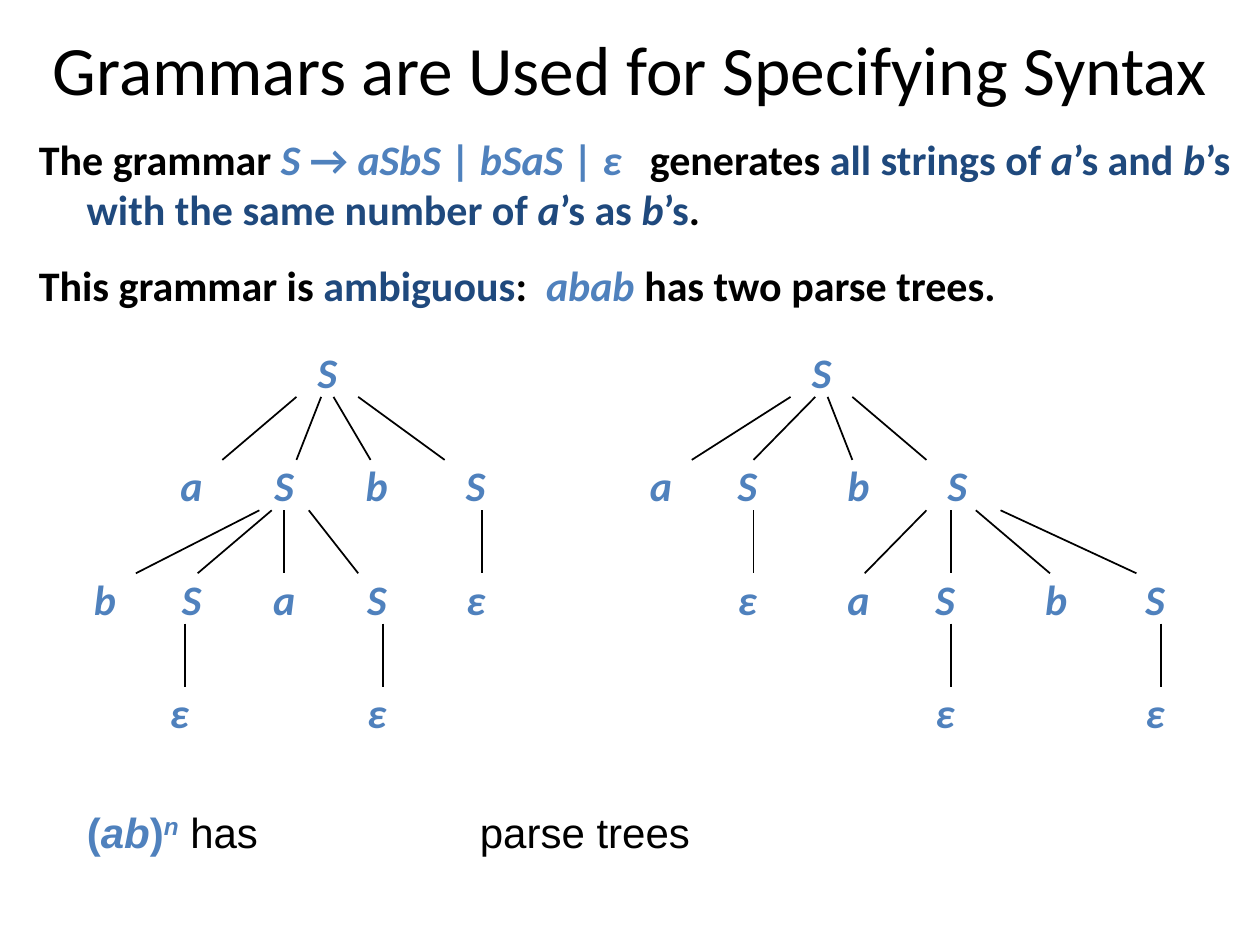
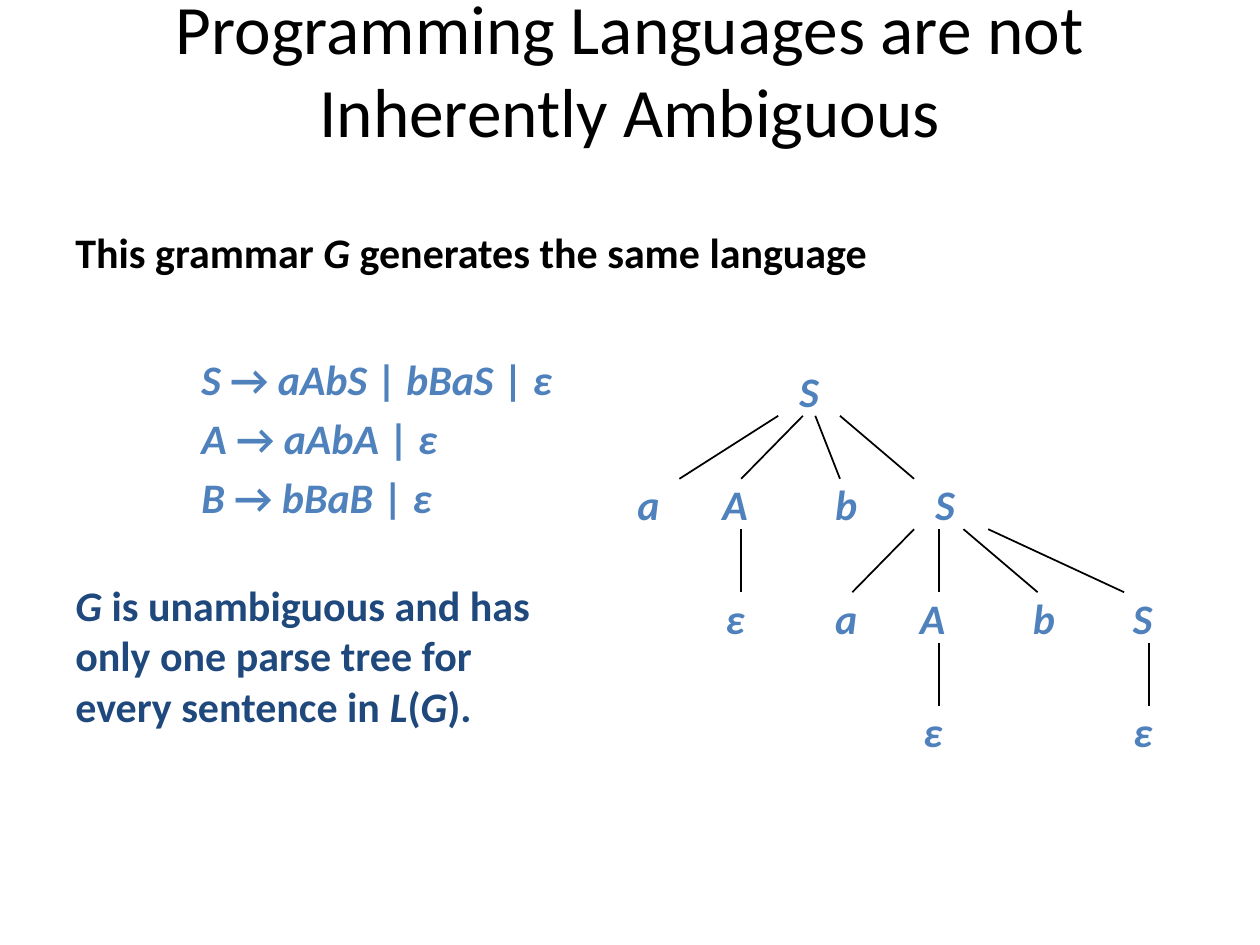
from lxml import etree
from pptx import Presentation
from pptx.dml.color import RGBColor
from pptx.enum.shapes import MSO_CONNECTOR
from pptx.enum.text import MSO_ANCHOR, MSO_AUTO_SIZE, PP_ALIGN
from pptx.oxml.ns import qn
from pptx.util import Inches, Pt

COLOURS = {"black": "000000", "symbol": "4F81BD", "claim": "1F497D"}
TITLE_ONLY = 5
COLUMN = 10 / 102      # horizontal grid step of the parse trees, inches
LEVEL = 0.9            # distance between tree levels
LABEL_W, LABEL_H = 0.49, 0.4

prs = Presentation()
prs.slide_width, prs.slide_height = Inches(10), Inches(7.5)


def write(paragraph, pieces, font="Calibri"):
    """Add (colour, text[, run attributes]) pieces; *stars* enclose italics."""
    for colour, text, *extra in pieces:
        for i, part in enumerate(text.split("*")):
            if not part:
                continue
            run = paragraph.add_run()
            run.text = part
            look = {"name": font, "size": Pt(24), "bold": True, "italic": i % 2 == 1}
            for key, value in look.items():
                setattr(run.font, key, value)
            run.font.color.rgb = RGBColor.from_string(COLOURS[colour])
            for attributes in extra:
                for key, value in attributes.items():
                    run.font._element.set(key, value)


def draw_tree(slide, top, labels, branches, shift=0):
    """Place labels (centre column, text) and branches (from, to) by level."""
    for level, row in enumerate(labels):
        for centre, symbol in row:
            left = (centre + shift) * COLUMN - LABEL_W / 2
            label = slide.shapes.add_textbox(
                Inches(left), Inches(top + level * LEVEL), Inches(LABEL_W), Inches(LABEL_H))
            frame = label.text_frame
            frame.word_wrap = False
            frame.vertical_anchor = MSO_ANCHOR.MIDDLE
            frame.paragraphs[0].alignment = PP_ALIGN.CENTER
            write(frame.paragraphs[0], [("symbol", f"*{symbol}*")])
    for level, row in enumerate(branches):
        start_y = top + level * LEVEL + LABEL_H
        end_y = top + (level + 1) * LEVEL
        for start, end in row:
            branch = slide.shapes.add_connector(
                MSO_CONNECTOR.STRAIGHT,
                Inches((start + shift) * COLUMN), Inches(start_y),
                Inches((end + shift) * COLUMN), Inches(end_y))
            branch.line.color.rgb = RGBColor.from_string(COLOURS["black"])
            branch.line.width = Pt(1)
            etree.SubElement(branch._element.spPr, qn("a:effectLst"))


# Slides with their shared title style
slides = []
for heading in ("Grammars are Used for Specifying Syntax",
                "Programming Languages are not\vInherently Ambiguous"):
    slide = prs.slides.add_slide(prs.slide_layouts[TITLE_ONLY])
    title = slide.shapes.title
    place = {"left": 0, "top": 0.08, "width": 10, "height": 0.92}
    for key, value in place.items():
        setattr(title, key, Inches(value))
    title.text_frame.text = heading
    title.text_frame.auto_size = MSO_AUTO_SIZE.NONE
    title.text_frame.vertical_anchor = MSO_ANCHOR.MIDDLE
    title_line = title.text_frame.paragraphs[0]
    title_line.alignment = PP_ALIGN.CENTER
    for run in title_line.runs:
        run.font.name, run.font.size = "Calibri", Pt(39.6)
        run.font.color.rgb = RGBColor.from_string(COLOURS["black"])
    slides.append(slide)
ambiguous, unambiguous = slides

# Body texts: (space before, left margin, hanging indent, pieces)
ambiguous_text = [
    (14.4, 0.38, -0.38, [
        ("black", "The grammar "),
        ("symbol", "*S *→ *aSbS* | *bSaS* | *ε*"),
        ("black", " ", {"spc": "1080"}),
        ("black", "generates "),
        ("claim", "all strings of *a*’s and *b*’s with the same number of *a*’s as *b*’s"),
        ("black", ".")]),
    (14.4, 0.38, -0.38, [
        ("black", "This grammar is "),
        ("claim", "ambiguous"),
        ("black", ":"),
        ("black", " ", {"spc": "540"}),
        ("symbol", "*abab*"),
        ("black", " has two parse trees.")]),
]
unambiguous_text = [
    (4.8, 0.38, -0.38, [("black", "This grammar *G *generates the same language")]),
    (43.8, 1.25, -0.25, [("symbol", "*S *→ *aAbS* | *bBaS* | *ε*")]),
    (4.8, 1.25, -0.25, [("symbol", "*A *→ *aAbA* | *ε*")]),
    (4.8, 1.25, -0.25, [("symbol", "*B *→ *bBaB* | *ε*")]),
    (33, 0.38, -0.38, [("claim", "*G *is unambiguous and has")]),
    (0, 0.38, -0.38, [("claim", "only one parse tree for")]),
    (0, 0.38, -0.38, [("claim", "every sentence in *L*(*G*).")]),
]
for slide, box, lines in (
        (ambiguous, (0.21, 1.01, 9.79, 1.6), ambiguous_text),
        (unambiguous, (0.5, 1.75, 9, 4.95), unambiguous_text)):
    body = slide.shapes.add_textbox(*map(Inches, box)).text_frame
    body.word_wrap = True
    for i, (space, margin, indent, pieces) in enumerate(lines):
        paragraph = body.add_paragraph() if i else body.paragraphs[0]
        paragraph.space_before = Pt(space)
        properties = paragraph._p.get_or_add_pPr()
        # A hanging first line starts at margin + indent
        properties.set("marL", str(Inches(margin)))
        properties.set("indent", str(Inches(indent)))
        write(paragraph, pieces)

# Number of parse trees, with a tab stop leaving room for the count
count = ambiguous.shapes.add_textbox(
    Inches(0.59), Inches(6.35), Inches(5.98), Inches(0.5)).text_frame
count.word_wrap = True
count_line = count.paragraphs[0]
tabs = etree.SubElement(count_line._p.get_or_add_pPr(), qn("a:tabLst"))
etree.SubElement(tabs, qn("a:tab"), pos=str(Inches(3.12)), algn="l")
write(count_line, [
    ("symbol", "(*ab*)"),
    ("symbol", "*n*", {"baseline": "30000"}),
    ("black", " has\tparse trees", {"b": "0"})], font="Arial")

# Parse tree that expands the first S
draw_tree(
    ambiguous, 2.75,
    [[(26.5, "S")],
     [(15.5, "a"), (23, "S"), (30.5, "b"), (38.5, "S")],
     [(8.5, "b"), (15.5, "S"), (23, "a"), (30.5, "S"), (38.5, "ε")],
     [(14.5, "ε"), (30.5, "ε")]],
    [[(24, 18), (26, 24), (27, 30), (29, 36)],
     [(21, 11), (22, 16), (23, 23), (25, 29), (39, 39)],
     [(15, 15), (31, 31)]])

# Parse tree that expands the last S: same shape in both grammars
last_branches = [
    [(64, 56), (66, 61), (67, 69), (69, 75)],
    [(61, 61), (75, 70), (77, 77), (79, 85), (81, 92)],
    [(77, 77), (94, 94)]]
for slide, top, inner, shift in ((ambiguous, 2.75, "S", 0), (unambiguous, 2.9, "A", -1)):
    last_labels = [
        [(66.5, "S")],
        [(53.5, "a"), (60.5, inner), (69.5, "b"), (77.5, "S")],
        [(60.5, "ε"), (69.5, "a"), (76.5, inner), (85.5, "b"), (93.5, "S")],
        [(76.5, "ε"), (93.5, "ε")]]
    draw_tree(slide, top, last_labels, last_branches, shift)

prs.save("out.pptx")
